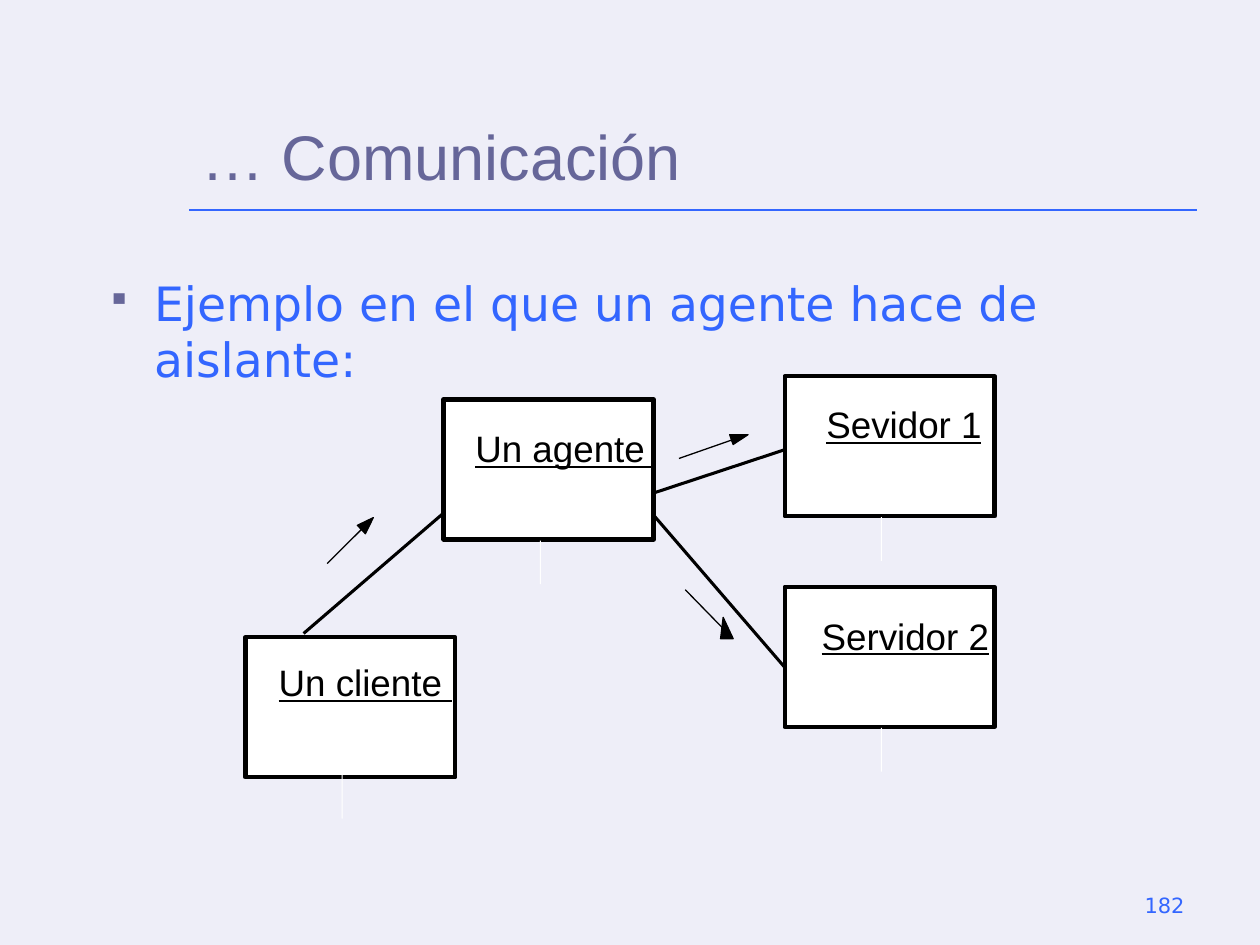
"""Build the slide on an agent that shields a client from two servers."""
from typing import NamedTuple

from lxml import etree
from pptx import Presentation
from pptx.dml.color import RGBColor
from pptx.enum.shapes import MSO_CONNECTOR, MSO_SHAPE
from pptx.enum.text import MSO_ANCHOR, PP_ALIGN
from pptx.oxml.ns import qn
from pptx.shapes.autoshape import Shape
from pptx.slide import Slide
from pptx.util import Pt

RECT = MSO_SHAPE.RECTANGLE
STRAIGHT = MSO_CONNECTOR.STRAIGHT
TOP, BOTTOM = MSO_ANCHOR.TOP, MSO_ANCHOR.BOTTOM
LEFT, CENTER, RIGHT = PP_ALIGN.LEFT, PP_ALIGN.CENTER, PP_ALIGN.RIGHT

PALE = RGBColor(0xEE, 0xEE, 0xF8)
BLUE = RGBColor(0x33, 0x66, 0xFF)
MAUVE = RGBColor(0x66, 0x66, 0x99)
BLACK = RGBColor(0, 0, 0)
WHITE = RGBColor(0xFF, 0xFF, 0xFF)
SANS, ARIAL = "DejaVu Sans", "Arial"
WIDE, HIGH = 120, 80

Point = tuple[float, float]


class Text(NamedTuple):
    words: str
    left: float
    top: float
    width: float
    height: float
    size: float
    face: str
    color: RGBColor
    align: PP_ALIGN = LEFT
    anchor: MSO_ANCHOR = TOP
    inset: Point = (7.2, 3.6)
    wrap: bool = True


class Node(NamedTuple):
    name: str
    left: float
    top: float
    shift: Point
    width: float
    stem: float = 80.6


class Line(NamedTuple):
    start: Point
    end: Point
    weight: float = 1.75
    color: RGBColor = BLACK


class Arrow(NamedTuple):
    start: Point
    head: list[Point]


TITLE = Text("… Comunicación", 108, 24, 576, 90, 36, ARIAL, MAUVE, anchor=BOTTOM)
BODY = Text("Ejemplo en el que un agente hace de aislante:",
            54, 150, 612, 324, 27, SANS, BLUE, inset=(7.2, 6.5))
PAGE = Text("182", 516, 492, 168, 36, 12, SANS, BLUE, RIGHT, BOTTOM)

NODES = [
    Node("Un agente ", 253.5, 228.3, (18, 15.2), 103),
    Node("Un cliente ", 140.2, 364.2, (18.9, 13.1), 99.4, 78.6),
    Node("Sevidor 1 ", 448.4, 215, (21, 14.7), 94.4),
    Node("Servidor 2 ", 448.4, 335.4, (18.2, 15.1), 101.5),
]
LINES = [
    Line((108, 120), (684, 120), 1, BLUE),
    Line((173.5, 362), (253.5, 293.2)),
    Line((373.6, 281.7), (448.4, 257)),
    Line((448.4, 381.3), (373.6, 294.5)),
]
ARROWS = [
    Arrow((187, 322), [(206.5, 302.6), (204.2, 300.2), (213.3, 295.8), (208.8, 305)]),
    Arrow((388, 262), [(418, 251.5), (417, 248.4), (427.5, 248.4), (419, 254)]),
    Arrow((391.6, 337), [(412.6, 358.5), (411.8, 365), (419, 365), (413.3, 352.8)]),
]


def paint(shape: Shape, fill: RGBColor, weight: float = 0) -> None:
    """Fill a shape and give it a black outline if it has a weight."""
    shape.shadow.inherit = False
    shape.fill.solid()
    shape.fill.fore_color.rgb = fill
    if weight:
        shape.line.color.rgb = BLACK
        shape.line.width = Pt(weight)
    else:
        shape.line.fill.background()


def write(slide: Slide, text: Text, under: bool = False, bullet: str = "") -> None:
    """Add a text box of one paragraph."""
    box = slide.shapes.add_textbox(
        Pt(text.left), Pt(text.top), Pt(text.width), Pt(text.height))
    frame = box.text_frame
    frame.word_wrap = text.wrap
    frame.vertical_anchor = text.anchor
    frame.margin_left = frame.margin_right = Pt(text.inset[0])
    frame.margin_top = frame.margin_bottom = Pt(text.inset[1])
    para = frame.paragraphs[0]
    para.text = text.words
    para.alignment = text.align
    if bullet:
        props = para._p.get_or_add_pPr()
        props.set("marL", str(Pt(27)))
        props.set("indent", str(-Pt(27)))
        tint = etree.SubElement(props, qn("a:buClr"))
        etree.SubElement(tint, qn("a:srgbClr"), val=str(MAUVE))
        etree.SubElement(props, qn("a:buSzPct"), val="70000")
        etree.SubElement(props, qn("a:buChar"), char=bullet)
    font = para.font
    font.name, font.size = text.face, Pt(text.size)
    font.color.rgb = text.color
    if under:
        font.underline = True


def draw_line(slide: Slide, line: Line) -> None:
    """Add a straight connector without a shadow."""
    ends = [Pt(n) for n in line.start + line.end]
    link = slide.shapes.add_connector(STRAIGHT, *ends)
    link.line.color.rgb = line.color
    link.line.width = Pt(line.weight)
    etree.SubElement(link._element.spPr, qn("a:effectLst"))


def draw_node(slide: Slide, node: Node) -> None:
    """Add a box with its label and the thin stem below it."""
    box = slide.shapes.add_shape(
        RECT, Pt(node.left), Pt(node.top), Pt(WIDE), Pt(HIGH))
    paint(box, WHITE, 2.5)
    left, top = node.left + node.shift[0], node.top + node.shift[1]
    write(slide, Text(node.name, left, top, node.width, 25, 21, ARIAL, BLACK,
                      CENTER, inset=(0, 0), wrap=False), under=True)
    stem = slide.shapes.add_shape(
        RECT, Pt(node.left + 55), Pt(node.top + node.stem), Pt(0.6), Pt(25))
    paint(stem, WHITE)


def draw_arrow(slide: Slide, arrow: Arrow) -> None:
    """Add a thin shaft and its solid head."""
    draw_line(slide, Line(arrow.start, arrow.head[0], 0.75))
    dots = [(Pt(x), Pt(y)) for x, y in arrow.head]
    form = slide.shapes.build_freeform(*dots[0])
    form.add_line_segments(dots[1:], close=True)
    paint(form.convert_to_shape(), BLACK, 0.75)


def main() -> None:
    """Build and save the slide."""
    deck = Presentation()
    deck.slide_width, deck.slide_height = Pt(720), Pt(540)
    slide = deck.slides.add_slide(deck.slide_layouts[6])
    slide.background.fill.solid()
    slide.background.fill.fore_color.rgb = PALE
    write(slide, PAGE)
    write(slide, TITLE)
    write(slide, BODY, bullet="▪")
    for node in NODES:
        draw_node(slide, node)
    for line in LINES:
        draw_line(slide, line)
    for arrow in ARROWS:
        draw_arrow(slide, arrow)
    deck.save("out.pptx")


if __name__ == "__main__":
    main()
